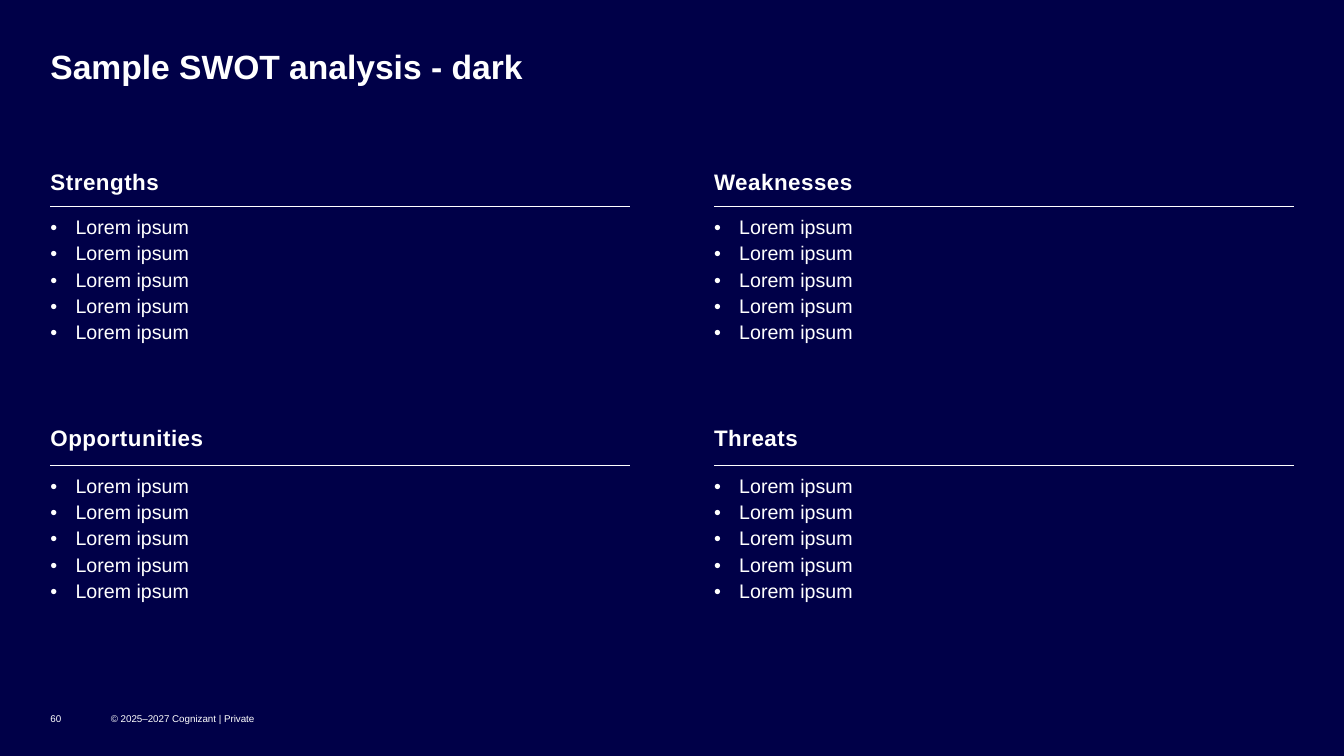
from lxml.etree import SubElement
from pptx import Presentation
from pptx.dml.color import RGBColor
from pptx.enum.text import MSO_ANCHOR, MSO_AUTO_SIZE, PP_ALIGN
from pptx.oxml import parse_xml
from pptx.oxml.ns import nsdecls, qn
from pptx.util import Pt

COLORS = {"background": "000048", "text": "FFFFFF"}
FONT = "Arial"
LEFT = 36
TABLE_WIDTH = 414
COLUMN_STEP = 474
TABLE_HEIGHT = 180.5


def add_span(para, text, size, bold=False):
    span = para.add_run()
    span.text = text
    span.font.name = FONT
    span.font.size = Pt(size)
    span.font.bold = bold
    span.font.color.rgb = RGBColor.from_string(COLORS["text"])
    return span


def style_cell(cell, ruled_side):
    cell.margin_left = Pt(0)
    cell.margin_top = cell.margin_right = cell.margin_bottom = Pt(7.2)
    cell.fill.background()
    properties = cell._tc.get_or_add_tcPr()
    for index, side in enumerate(("lnL", "lnR", "lnT", "lnB")):
        paint = "<a:noFill/>"
        if side == ruled_side:
            paint = f'<a:solidFill><a:srgbClr val="{COLORS["text"]}"/></a:solidFill>'
        border = parse_xml(f'<a:{side} {nsdecls("a")} w="{Pt(1)}">{paint}</a:{side}>')
        properties.insert(index, border)


deck = Presentation()
deck.slide_width, deck.slide_height = Pt(960), Pt(540)
page = deck.slides.add_slide(deck.slide_layouts[5])
page.background.fill.solid()
page.background.fill.fore_color.rgb = RGBColor.from_string(COLORS["background"])

# Title
title = page.shapes.title
title.left, title.top, title.width, title.height = Pt(LEFT), Pt(36), Pt(888), Pt(26)
frame = title.text_frame
frame.margin_left = frame.margin_top = frame.margin_right = frame.margin_bottom = Pt(0)
frame.vertical_anchor = MSO_ANCHOR.TOP
frame.word_wrap = True
frame.auto_size = MSO_AUTO_SIZE.SHAPE_TO_FIT_TEXT
para = frame.paragraphs[0]
para.alignment = PP_ALIGN.LEFT
para.line_spacing = 0.9
add_span(para, "Sample SWOT analysis - dark", 24, bold=True)

# Four quadrants: a heading row ruled off from a bulleted list
quadrants = ["Strengths", "Weaknesses", "Opportunities", "Threats"]
heading_heights = [33.4, 38]
for index, heading in enumerate(quadrants):
    row, column = divmod(index, 2)
    table = page.shapes.add_table(
        2, 1, Pt(LEFT + column * COLUMN_STEP), Pt(114 + row * TABLE_HEIGHT),
        Pt(TABLE_WIDTH), Pt(TABLE_HEIGHT)).table
    table.first_row = table.horz_banding = False
    table.rows[0].height = Pt(heading_heights[row])
    table.rows[1].height = Pt(TABLE_HEIGHT - heading_heights[row])

    heading_cell, list_cell = table.cell(0, 0), table.cell(1, 0)
    style_cell(heading_cell, "lnB")
    style_cell(list_cell, "lnT")
    heading_cell.vertical_anchor = MSO_ANCHOR.MIDDLE
    span = add_span(heading_cell.text_frame.paragraphs[0], heading, 16, bold=True)
    span.font._element.set("spc", "40")

    items = ["Lorem ipsum"] * 5
    for number, item in enumerate(items):
        frame = list_cell.text_frame
        para = frame.add_paragraph() if number else frame.paragraphs[0]
        para.level = 1
        properties = para._p.get_or_add_pPr()
        properties.set("marL", str(Pt(18)))
        properties.set("indent", str(-Pt(18)))
        SubElement(properties, qn("a:buFont")).set("typeface", FONT)
        SubElement(properties, qn("a:buChar")).set("char", "•")
        para.space_after = Pt(3)
        add_span(para, item, 14)

# Footer: page number and copyright
footers = [("60", LEFT, 28.8), ("© 2025–2027 Cognizant | Private", 79.2, 108)]
for text, left, width in footers:
    box = page.shapes.add_textbox(Pt(left), Pt(504), Pt(width), Pt(18))
    frame = box.text_frame
    frame.margin_left = frame.margin_top = frame.margin_right = frame.margin_bottom = Pt(0)
    frame.vertical_anchor = MSO_ANCHOR.MIDDLE
    frame.word_wrap = True
    add_span(frame.paragraphs[0], text, 7)

deck.save("out.pptx")
